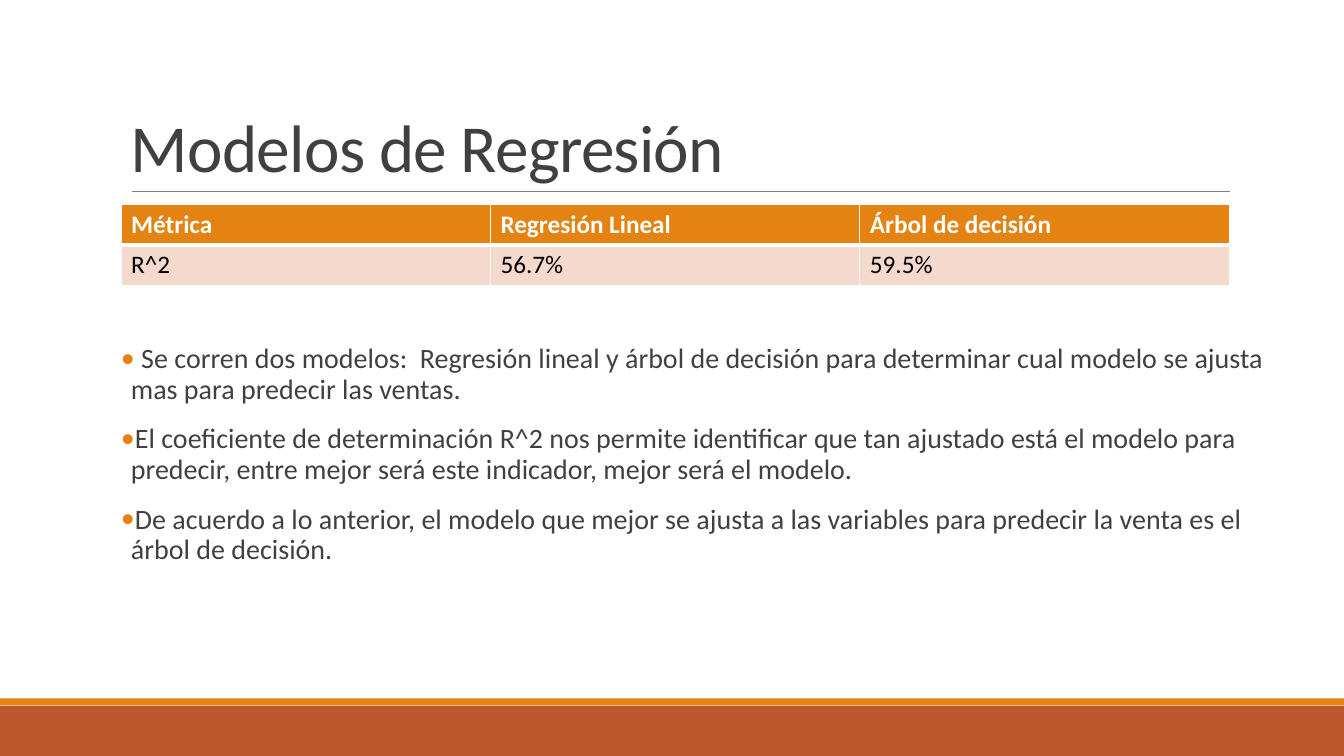
from lxml.etree import SubElement
from pptx import Presentation
from pptx.dml.color import RGBColor
from pptx.enum.shapes import MSO_CONNECTOR as Connector, MSO_SHAPE as Shape
from pptx.enum.text import MSO_ANCHOR as Anchor
from pptx.oxml import parse_xml
from pptx.oxml.ns import nsdecls, qn
from pptx.util import Cm, Pt

WIDTH, HEIGHT = 33.87, 19.05
LEFT = 3.05
ORANGE, RUST, PEACH = "E48312", "BD582C", "F5D9CC"
WHITE, BLACK, GRAY, INK = "FFFFFF", "000000", "808080", "404040"


def color(value):
    return RGBColor.from_string(value)


class SlideBuilder:
    font_name = "Calibri"

    def __init__(self, slide):
        self.slide = slide
        self.shapes = slide.shapes

    def style(self, paragraph, size, ink, bold=False):
        font = paragraph.font
        font.name, font.size, font.bold = self.font_name, Pt(size), bold
        font.color.rgb = color(ink)

    def band(self, top, height, fill):
        shape = self.shapes.add_shape(Shape.RECTANGLE, 0, Cm(top), Cm(WIDTH), Cm(height))
        shape.shadow.inherit = False
        shape.fill.solid()
        shape.fill.fore_color.rgb = color(fill)
        shape.line.fill.background()

    def rule(self, left, right, top):
        line = self.shapes.add_connector(
            Connector.STRAIGHT, Cm(left), Cm(top), Cm(right), Cm(top))
        line.line.color.rgb = color(GRAY)
        line.line.width = Pt(0.5)
        SubElement(line._element.spPr, qn("a:effectLst"))

    def text_frame(self, left, top, width, height):
        box = self.shapes.add_textbox(Cm(left), Cm(top), Cm(width), Cm(height))
        box.text_frame.word_wrap = True
        return box.text_frame

    def title(self, text, left, top, width, height):
        frame = self.text_frame(left, top, width, height)
        frame.vertical_anchor = Anchor.BOTTOM
        paragraph = frame.paragraphs[0]
        paragraph.text = text
        paragraph.line_spacing = 0.85
        self.style(paragraph, 48, INK)
        paragraph._p.pPr.find(qn("a:defRPr")).set("spc", "-50")

    def bullets(self, texts, left, top, width, height):
        frame = self.text_frame(left, top, width, height)
        frame.margin_left = frame.margin_right = 0
        for index, text in enumerate(texts):
            paragraph = frame.add_paragraph() if index else frame.paragraphs[0]
            paragraph.text = text
            paragraph.line_spacing = 0.9
            paragraph.space_before, paragraph.space_after = Pt(12), Pt(2)
            properties = paragraph._p.get_or_add_pPr()
            properties.set("marL", str(Cm(0.25)))
            properties.set("indent", str(-Cm(0.25)))
            bullet_color = SubElement(properties, qn("a:buClr"))
            SubElement(bullet_color, qn("a:srgbClr"), val=ORANGE)
            SubElement(properties, qn("a:buFont"), typeface=self.font_name)
            SubElement(properties, qn("a:buChar"), char="•")
            self.style(paragraph, 20, INK)

    def borders(self, cell, top, bottom):
        properties = cell._tc.get_or_add_tcPr()
        widths = {"lnL": 1, "lnR": 1, "lnT": top, "lnB": bottom}
        for index, (side, width) in enumerate(widths.items()):
            properties.insert(index, parse_xml(
                f'<a:{side} {nsdecls("a")} w="{Pt(width)}"><a:solidFill>'
                f'<a:srgbClr val="{WHITE}"/></a:solidFill></a:{side}>'))

    def table(self, rows, left, top, column_width, row_height):
        columns = len(rows[0])
        table = self.shapes.add_table(
            len(rows), columns, Cm(left), Cm(top),
            Cm(column_width * columns), Cm(row_height * len(rows))).table
        for column in table.columns:
            column.width = Cm(column_width)
        for row_index, texts in enumerate(rows):
            header = row_index == 0
            for column_index, text in enumerate(texts):
                cell = table.cell(row_index, column_index)
                cell.text = text
                cell.fill.solid()
                cell.fill.fore_color.rgb = color(ORANGE if header else PEACH)
                self.style(cell.text_frame.paragraphs[0], 18,
                           WHITE if header else BLACK, header)
                self.borders(cell, 3 if row_index == 1 else 1, 3 if header else 1)


presentation = Presentation()
presentation.slide_width, presentation.slide_height = Cm(WIDTH), Cm(HEIGHT)
builder = SlideBuilder(presentation.slides.add_slide(presentation.slide_layouts[6]))

builder.band(17.78, 1.27, RUST)
builder.band(17.6, 0.17, ORANGE)
builder.rule(3.33, 31, 4.83)
builder.title("Modelos de Regresión", LEFT, 0.79, 27.94, 4.04)
builder.table(
    [["Métrica", "Regresión Lineal", "Árbol de decisión"],
     ["R^2", "56.7%", "59.5%"]],
    LEFT, 5.14, 9.31, 1.03)
builder.bullets(
    [" Se corren dos modelos:  Regresión lineal y árbol de decisión para determinar "
     "cual modelo se ajusta mas para predecir las ventas.",
     "El coeficiente de determinación R^2 nos permite identificar que tan ajustado "
     "está el modelo para predecir, entre mejor será este indicador, mejor será el modelo. ",
     "De acuerdo a lo anterior, el modelo que mejor se ajusta a las variables para "
     "predecir la venta es el árbol de decisión."],
    LEFT, 8.56, 28.91, 7.67)

presentation.save("out.pptx")
